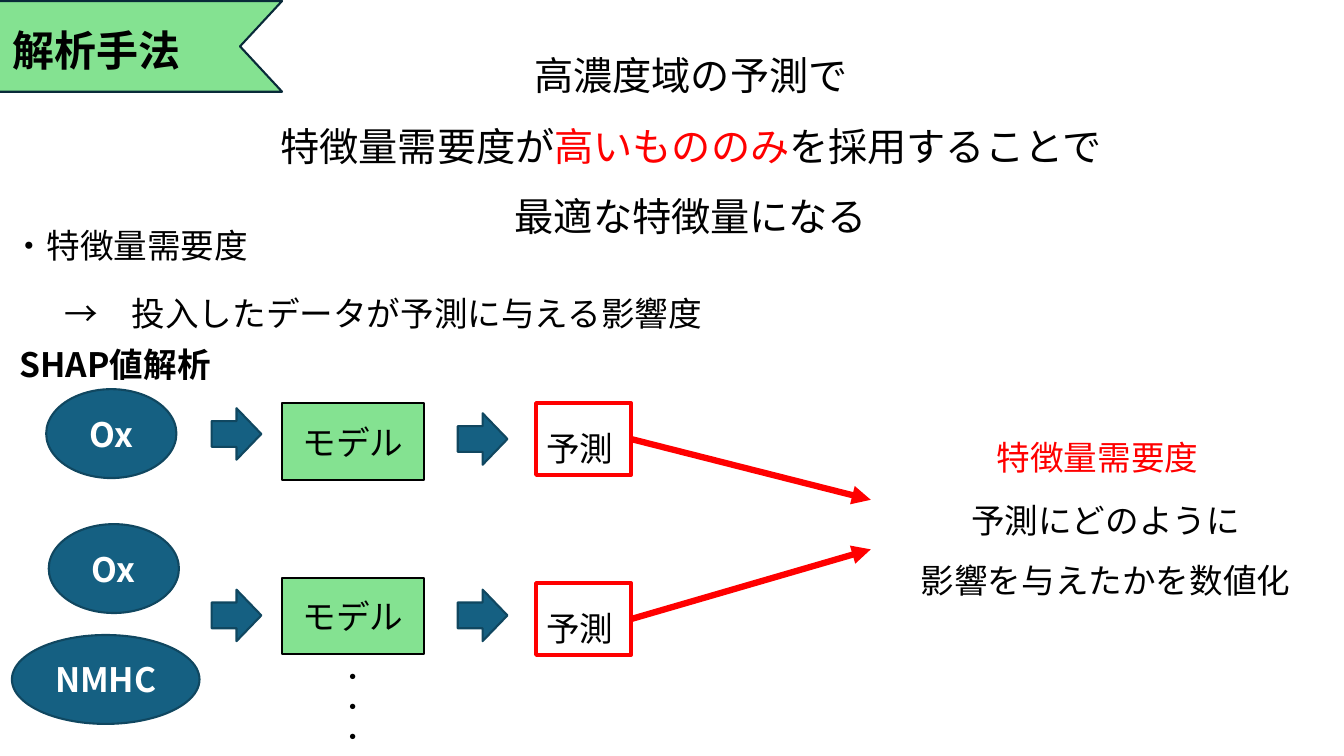
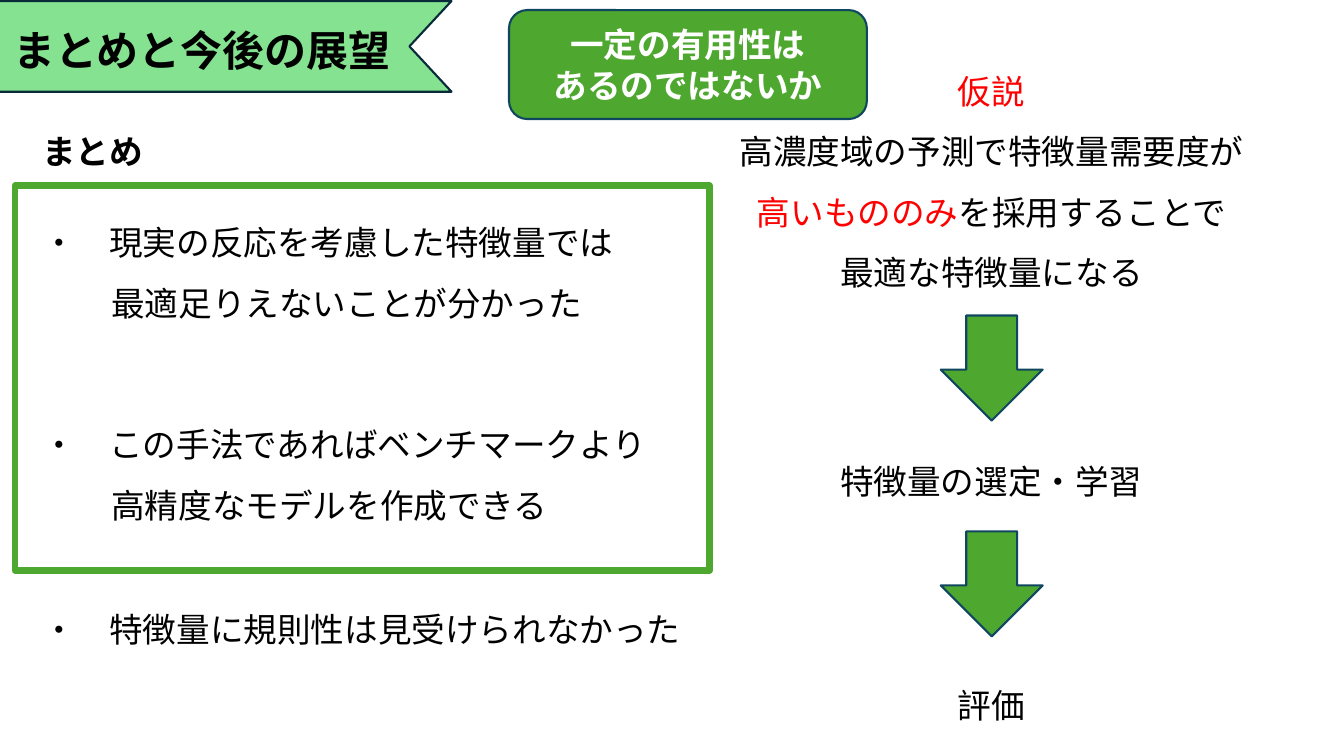
"""Build two slides on feature importance analysis and its conclusions."""
from dataclasses import dataclass

from lxml import etree
from pptx import Presentation, util as u
from pptx.dml.color import RGBColor
from pptx.enum import shapes, text
from pptx.oxml import ns

Pt = u.Pt
Shape = shapes.MSO_SHAPE
Align = text.PP_ALIGN
Anchor = text.MSO_ANCHOR


@dataclass(frozen=True)
class Theme:
    font: str = "Noto Sans CJK JP"
    ink: str = "000000"
    white: str = "FFFFFF"
    accent: str = "FF0000"
    mint: str = "84E291"
    mint_edge: str = "092A39"
    blue: str = "156082"
    blue_edge: str = "104760"
    green: str = "4EA72E"
    title: float = 30
    lead: float = 28
    body: float = 24
    small: float = 18
    thin: float = 1.5
    medium: float = 3
    thick: float = 4.5


THEME = Theme()


def write(box, content, size=THEME.body, color=THEME.ink, bold=False, align=Align.LEFT,
          anchor=Anchor.TOP, spacing=1.0, hang=0, grow=True):
    """Fill a box with paragraphs; pieces between bars take the accent colour."""
    frame = box.text_frame
    frame.word_wrap = True
    frame.vertical_anchor = anchor
    frame.auto_size = text.MSO_AUTO_SIZE.SHAPE_TO_FIT_TEXT if grow else text.MSO_AUTO_SIZE.NONE
    for index, line in enumerate([content] if isinstance(content, str) else content):
        para = frame.add_paragraph() if index else frame.paragraphs[0]
        para.alignment = align
        para.line_spacing = spacing
        if hang:
            props = para._p.get_or_add_pPr()
            props.set("marL", str(Pt(hang)))
            props.set("indent", str(-Pt(hang)))
        for number, piece in enumerate(line.split("|")):
            for row, words in enumerate(piece.split("\n")):
                if row:
                    para.add_line_break()
                if not words:
                    continue
                span = para.add_run()
                span.text = words
                span.font.name = THEME.font
                span.font.size = Pt(size)
                span.font.bold = bold
                span.font.color.rgb = RGBColor.from_string(THEME.accent if number % 2 else color)
                etree.SubElement(span.font._element, ns.qn("a:ea"), typeface=THEME.font)


class Deck:
    """Hold the presentation, its theme and the current page."""

    def __init__(self, theme):
        self.theme = theme
        self.file = Presentation()
        self.file.slide_width, self.file.slide_height = Pt(960), Pt(540)
        self.page = None

    def add_page(self, title, band_width):
        """Start a page with its ribbon and title."""
        self.page = self.file.slides.add_slide(self.file.slide_layouts[6])
        ribbon = self.shape(Shape.CHEVRON, -39, 0.7, band_width, 64.8,
                            self.theme.mint, self.theme.mint_edge)
        ribbon.rotation = 180
        ribbon.adjustments[0] = 0.464
        self.text(title, 2.2, 13.7, band_width - 61, 44, size=self.theme.title, bold=True)

    def text(self, content, left, top, width, height, **style):
        """Add a text box."""
        box = self.page.shapes.add_textbox(Pt(left), Pt(top), Pt(width), Pt(height))
        write(box, content, **style)

    def shape(self, kind, left, top, width, height, fill, edge, weight=THEME.thin):
        """Add a preset shape; no fill colour leaves it open."""
        box = self.page.shapes.add_shape(kind, Pt(left), Pt(top), Pt(width), Pt(height))
        box.shadow.inherit = False
        if fill:
            box.fill.solid()
            box.fill.fore_color.rgb = RGBColor.from_string(fill)
        else:
            box.fill.background()
        box.line.color.rgb = RGBColor.from_string(edge)
        box.line.width = Pt(weight)
        return box

    def label(self, content, kind, left, top, width, height, fill, edge, **style):
        """Add a filled shape with centred text."""
        box = self.shape(kind, left, top, width, height, fill, edge)
        write(box, content, align=Align.CENTER, anchor=Anchor.MIDDLE, grow=False, **style)

    def ellipse(self, content, left, top, width):
        """Add an input variable."""
        self.label(content, Shape.OVAL, left, top, width, 63.5, self.theme.blue,
                   self.theme.blue_edge, color=self.theme.white, bold=True)

    def model(self, top):
        """Add a model block."""
        self.label("モデル", Shape.RECTANGLE, 201.5, top, 101.5, 54.8,
                   self.theme.mint, self.theme.ink)

    def step(self, left, top):
        """Add an arrow pointing right."""
        self.shape(Shape.RIGHT_ARROW, left, top, 35.5, 36.8, self.theme.blue, self.theme.blue_edge)

    def forecast(self, top):
        """Add a prediction block."""
        box = self.shape(Shape.RECTANGLE, 383, top, 67.8, 51.2, None,
                         self.theme.accent, self.theme.medium)
        write(box, "予測", spacing=1.5)
        return box

    def link(self, source, end_x, end_y):
        """Draw an arrow from the right side of a block."""
        line = self.page.shapes.add_connector(shapes.MSO_CONNECTOR.STRAIGHT, 0, 0,
                                              Pt(end_x), Pt(end_y))
        line.begin_connect(source, 3)
        line.line.color.rgb = RGBColor.from_string(self.theme.accent)
        line.line.width = Pt(self.theme.thick)
        etree.SubElement(line.line._get_or_add_ln(), ns.qn("a:tailEnd"), type="triangle")
        etree.SubElement(line._element.spPr, ns.qn("a:effectLst"))


def build_method(deck):
    """Build the analysis method page."""
    centred = {"align": Align.CENTER, "spacing": 1.5}
    deck.add_page("解析手法", 240.5)
    deck.text(["高濃度域の予測で", "特徴量需要度が|高いもののみ|を採用することで\n最適な特徴量になる"],
              180, 16.5, 627, 160, size=THEME.lead, **centred)
    deck.text("・特徴量需要度", 2.2, 142.5, 225, 47.5, spacing=1.5)
    deck.text("→　投入したデータが予測に与える影響度", 39, 191, 481, 51, spacing=1.5)
    deck.text("SHAP値解析", 2.2, 227.5, 160, 47.5, bold=True, **centred)
    for name, left, top, width in (("Ox", 33, 278, 93), ("Ox", 34.8, 374.4, 93),
                                   ("NMHC", 8.5, 453.6, 134)):
        deck.ellipse(name, left, top, width)
    for model, first, second, forecast, target in ((288, 291.6, 295.2, 288, 357),
                                                   (412.6, 421.2, 421.2, 416.6, 392.4)):
        deck.model(model)
        deck.step(151.2, first)
        deck.step(327, second)
        deck.link(deck.forecast(forecast), 622, target)
    deck.text(["・"] * 3, 139.7, 468.7, 225, 72.7, size=THEME.small, align=Align.CENTER)
    deck.text("|特徴量需要度|", 631.5, 294.5, 305, 47.5, **centred)
    deck.text(["予測にどのように", "影響を与えたかを数値化"], 637.2, 339, 305, 94.3, **centred)


def build_summary(deck):
    """Build the summary and outlook page."""
    deck.add_page("まとめと今後の展望", 361.5)
    deck.text("まとめ", 23, 60.5, 102, 65.5, bold=True, spacing=2.0, anchor=Anchor.MIDDLE)
    deck.text(["|仮説|", "高濃度域の予測で特徴量需要度が", "|高いもののみ|を採用することで",
               "最適な特徴量になる"], 507, 32.4, 402.5, 181.5, align=Align.CENTER, spacing=1.5)
    for top in (225.4, 379.6):
        deck.shape(Shape.DOWN_ARROW, 672, top, 72.8, 75, THEME.green, THEME.blue_edge)
    for stage, top, height in (("特徴量の選定・学習", 311, 51), ("評価", 473, 47.5)):
        deck.text(stage, 572.4, top, 271.5, height, align=Align.CENTER, spacing=1.5,
                  anchor=Anchor.MIDDLE, hang=49.5)
    deck.label("一定の有用性は\nあるのではないか", Shape.ROUNDED_RECTANGLE, 363.6, 7.2, 255.6, 77.8,
               THEME.green, THEME.blue_edge, color=THEME.white, bold=True)
    deck.shape(Shape.RECTANGLE, 10.8, 132.5, 496, 275, None, THEME.green, THEME.thick)
    for finding, top, width, height, anchor in (
            ("・　現実の反応を考慮した特徴量では\n最適足りえないことが分かった", 140.4, 463, 94.3, Anchor.MIDDLE),
            ("・　この手法であればベンチマークより\n高精度なモデルを作成できる", 285, 457, 94.3, Anchor.TOP),
            ("・　特徴量に規則性は見受けられなかった", 417, 503, 47.5, Anchor.TOP)):
        deck.text(finding, 23, top, width, height, spacing=1.5, hang=49.5, anchor=anchor)


def main():
    """Build and save the deck."""
    deck = Deck(THEME)
    build_method(deck)
    build_summary(deck)
    deck.file.save("out.pptx")


if __name__ == "__main__":
    main()
